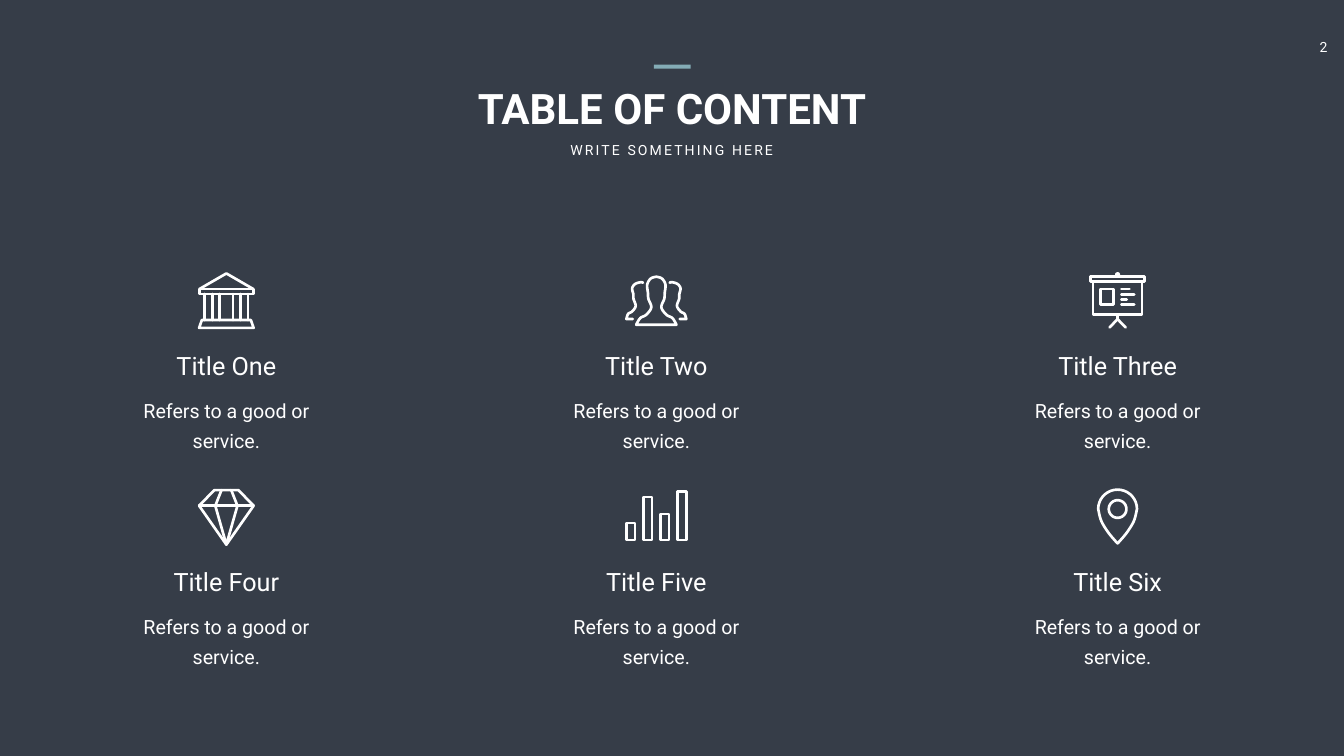
from dataclasses import dataclass
from math import cos, radians, sin
from typing import NamedTuple

from lxml.etree import SubElement
from pptx import Presentation
from pptx.dml.color import RGBColor
from pptx.enum.shapes import MSO_SHAPE as Preset
from pptx.enum.text import MSO_ANCHOR as Anchor
from pptx.enum.text import MSO_AUTO_SIZE as AutoSize
from pptx.enum.text import PP_ALIGN as Align
from pptx.oxml.ns import qn
from pptx.util import Pt

NAVY, WHITE, TEAL = "363D48", "FFFFFF", "84ACB6"
FONT = "Roboto"
STROKE = 3.8
COLUMN_CENTRES = (323.3, 937.4, 1596.2)
ICON_CENTRE, HEADING_TOP, BODY_TOP = 429.5, 497.5, 552.2
ROW_PITCH = 308.5
TEXT_WIDTH = 373
Points = list[tuple[float, float]]


class Contour(NamedTuple):
    points: Points
    closed: bool = False


@dataclass
class Topic:
    heading: str
    icon: list[Contour]
    body: str = "Refers to a good or service."


def colour(value: str) -> RGBColor:
    return RGBColor.from_string(value)


def mirror(points: Points) -> Points:
    return [(-x, y) for x, y in reversed(points)]


def rectangle(left: float, top: float, right: float, bottom: float) -> Contour:
    return Contour([(left, top), (right, top), (right, bottom), (left, bottom)], True)


def circle(x: float, y: float, radius: float) -> Contour:
    return Contour(arc(x, y, radius, 0, 350), True)


def arc(x: float, y: float, radius: float, start: int, end: int) -> Points:
    angles = [radians(degree) for degree in range(start, end + 1, 10)]
    return [(x + radius * cos(angle), y + radius * sin(angle)) for angle in angles]


def spline(knots: Points, steps: int = 6) -> Points:
    padded = [knots[0], *knots, knots[-1]]
    points = []
    for quad in zip(padded, padded[1:], padded[2:], padded[3:]):
        for step in range(steps):
            t = step / steps
            points.append(tuple(
                b + t * (c - a) / 2 + t**2 * (2 * a - 5 * b + 4 * c - d) / 2
                + t**3 * (3 * b - a - 3 * c + d) / 2
                for a, b, c, d in zip(*quad)))
    return points + [knots[-1]]


def bank_icon() -> list[Contour]:
    columns = [Contour([(x, -9.4), (x, 27.7)]) for x in (-31, -20.2, -9.4, 9.4, 20.2, 31)]
    return [
        Contour([(-38.5, -16.6), (0, -38.9), (38.5, -16.6)]),
        rectangle(-38.7, -16.6, 38.7, -9.4),
        *columns,
        Contour([(-35, 27.7), (35, 27.7), (38.9, 38.9), (-38.9, 38.9)], True),
    ]


def people_icon() -> list[Contour]:
    front = spline([(0, -34.2), (8, -31.5), (13, -23), (12, -11.2), (11.3, -2.5),
                    (7.2, 9.7), (14.5, 20.2), (23, 25), (28.8, 34.4)])
    rear = spline([(19, -25.6), (22.3, -26.3), (30.2, -23.8), (34.5, -17.6),
                   (32.8, -9), (32.6, -2.5), (29.5, 7.6), (34.6, 15.5),
                   (40.3, 19), (42.8, 26.3)]) + [(33.5, 26.3)]
    return [Contour(mirror(front) + front[1:], True), Contour(rear), Contour(mirror(rear))]


def board_icon() -> list[Contour]:
    text_lines = [Contour([(5.4, y), (right, y)]) for y, right in
                  ((-16.6, 16.9), (-9, 23.8), (-1.8, 13), (5.8, 23.8))]
    return [
        circle(0, -37, 1.8),
        rectangle(-38.5, -34.9, 38.5, -27.4),
        rectangle(-34.9, -27.4, 34.9, 20.2),
        rectangle(-24.1, -16.6, -5.4, 5.8),
        *text_lines,
        Contour([(0, 20.2), (0, 26.5)]),
        Contour([(-11.5, 38.3), (0, 26.5), (11.5, 38.3)]),
    ]


def diamond_icon() -> list[Contour]:
    tip = (0, 40)
    return [
        Contour([(-17.3, -37.8), (17.3, -37.8), (38.9, -15.5), tip, (-38.9, -15.5)], True),
        Contour([(-38.9, -15.5), (38.9, -15.5)]),
        Contour([(-7, -37.8), (-15.8, -15.5), tip, (15.8, -15.5), (7, -37.8)]),
    ]


def bars_icon() -> list[Contour]:
    tops = (9, -28.1, -3.6, -36)
    lefts = [-42.8 + 24.47 * place for place in range(len(tops))]
    return [rectangle(left, top, left + 12.2, 33.5) for left, top in zip(lefts, tops)]


def pin_icon() -> list[Contour]:
    side = spline([(27.7, -10.8), (23.4, 6), (13.9, 21.9), (4.3, 33.6), (0, 38.2)])
    dome = arc(0, -10.8, 27.7, 180, 360)
    return [circle(0, -10.8, 12.6), Contour(dome + side[1:] + mirror(side)[1:-1], True)]


def draw_icon(page, contours: list[Contour], x: float, y: float) -> None:
    placed = [([(Pt(x + dx), Pt(y + dy)) for dx, dy in contour.points], contour.closed)
              for contour in contours]
    builder = page.shapes.build_freeform(*placed[0][0][0], scale=1.0)
    for place, (points, closed) in enumerate(placed):
        if place:
            builder.move_to(*points[0])
        builder.add_line_segments(points[1:], close=closed)
    icon = builder.convert_to_shape()
    icon.shadow.inherit = False
    icon.fill.background()
    icon.line.color.rgb = colour(WHITE)
    icon.line.width = Pt(STROKE)
    outline = icon._element.spPr.find(qn("a:ln"))
    outline.set("cap", "rnd")
    SubElement(outline, qn("a:round"))


def write(box, text: str, *, size: float, bold: bool = False, wrap: bool = True,
          spacing: int = 0, leading: float | None = None,
          insets: tuple[float, float, float, float] = (7.2, 3.6, 7.2, 3.6)) -> None:
    frame = box.text_frame
    frame.word_wrap = wrap
    frame.auto_size = AutoSize.SHAPE_TO_FIT_TEXT
    frame.vertical_anchor = Anchor.TOP
    frame.margin_left, frame.margin_top, frame.margin_right, frame.margin_bottom = map(Pt, insets)
    para = frame.paragraphs[0]
    para.alignment = Align.CENTER
    if leading:
        para.line_spacing = Pt(leading)
    span = para.add_run()
    span.text = text
    span.font.name = FONT
    span.font.size = Pt(size)
    span.font.bold = bold
    span.font.color.rgb = colour(WHITE)
    if spacing:
        span.font._element.set("spc", str(spacing * 100))


def add_box(page, left: float, top: float, width: float, height: float):
    return page.shapes.add_textbox(Pt(left), Pt(top), Pt(width), Pt(height))


def draw_header(page) -> None:
    title = page.shapes.title
    title.left, title.top, title.width, title.height = map(Pt, (659.5, 114.5, 600.5, 80))
    write(title, "TABLE OF CONTENT", size=60, bold=True)
    write(add_box(page, 802.8, 198, 313.2, 31.7), "WRITE SOMETHING HERE",
          size=20, spacing=3, wrap=False)
    write(add_box(page, 1862.6, 48.2, 65.5, 38.9), "2", size=20, wrap=False,
          insets=(14.4, 7.2, 24.4, 7.2))
    accent = page.shapes.add_shape(Preset.RECTANGLE, Pt(933.8), Pt(92.2), Pt(52.6), Pt(5.8))
    accent.shadow.inherit = False
    accent.fill.solid()
    accent.fill.fore_color.rgb = colour(TEAL)
    accent.line.fill.background()


def draw_topic(page, topic: Topic, centre: float, drop: float) -> None:
    left = centre - TEXT_WIDTH / 2
    draw_icon(page, topic.icon, centre, ICON_CENTRE + drop)
    write(add_box(page, left, HEADING_TOP + drop, TEXT_WIDTH, 51), topic.heading, size=36)
    write(add_box(page, left, BODY_TOP + drop, TEXT_WIDTH, 57), topic.body,
          size=28, leading=43, insets=(17.3, 8.6, 17.3, 8.6))


def main() -> None:
    deck = Presentation()
    deck.slide_width, deck.slide_height = Pt(1919.5), Pt(1080)
    page = deck.slides.add_slide(deck.slide_layouts[5])
    page.background.fill.solid()
    page.background.fill.fore_color.rgb = colour(NAVY)
    draw_header(page)
    topics = [
        Topic("Title One", bank_icon()), Topic("Title Two", people_icon()),
        Topic("Title Three", board_icon()), Topic("Title Four", diamond_icon()),
        Topic("Title Five", bars_icon()), Topic("Title Six", pin_icon()),
    ]
    for place, topic in enumerate(topics):
        row, column = divmod(place, len(COLUMN_CENTRES))
        draw_topic(page, topic, COLUMN_CENTRES[column], row * ROW_PITCH)
    deck.save("out.pptx")


if __name__ == "__main__":
    main()
